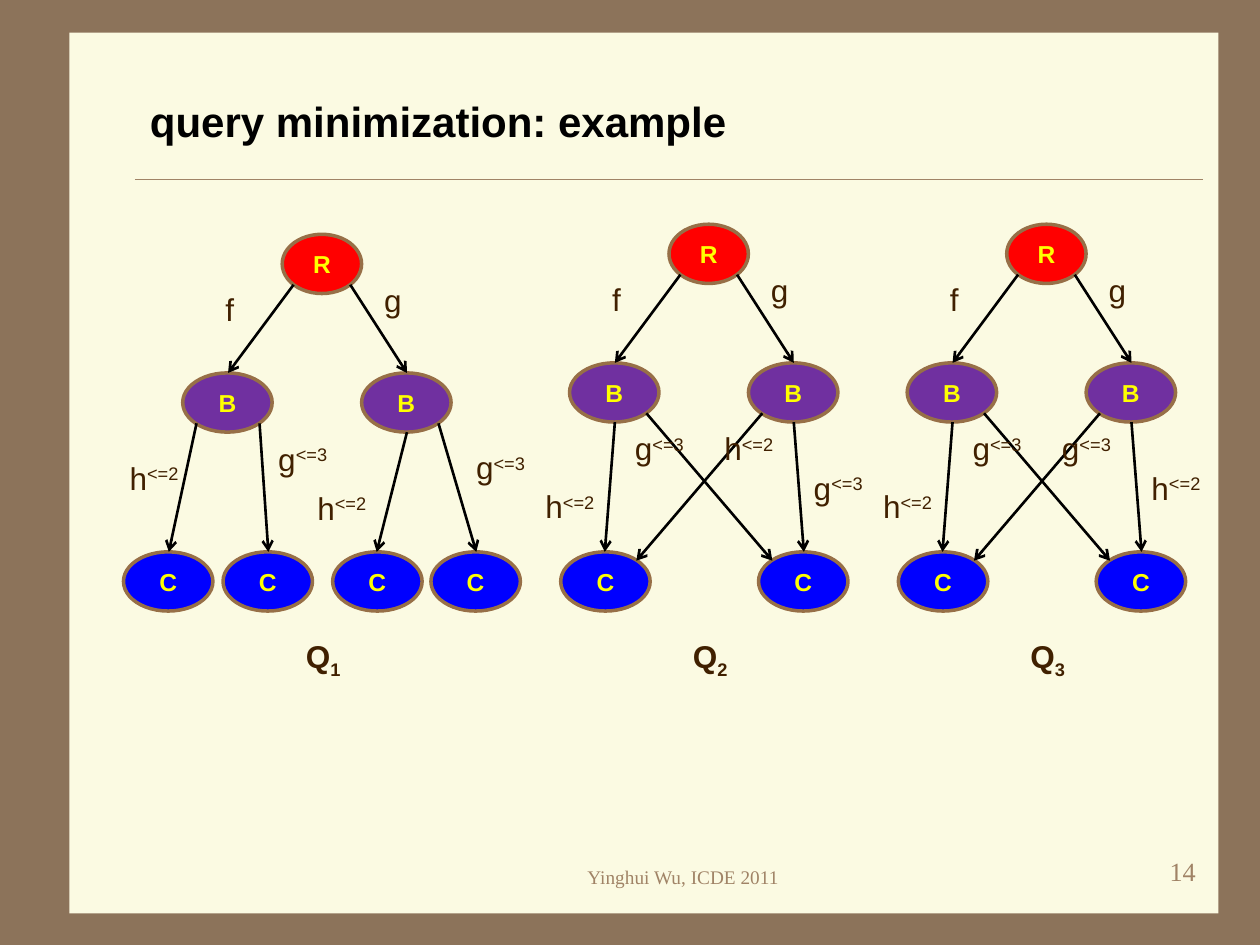
from lxml import etree
from pptx import Presentation
from pptx.dml.color import RGBColor
from pptx.enum.shapes import MSO_CONNECTOR, MSO_SHAPE
from pptx.enum.text import MSO_ANCHOR, MSO_AUTO_SIZE, PP_ALIGN
from pptx.oxml.ns import qn
from pptx.util import Inches, Pt

STRAIGHT = MSO_CONNECTOR.STRAIGHT
RECTANGLE, OVAL = MSO_SHAPE.RECTANGLE, MSO_SHAPE.OVAL
MIDDLE = MSO_ANCHOR.MIDDLE
GROW = MSO_AUTO_SIZE.SHAPE_TO_FIT_TEXT
LEFT, CENTER, RIGHT = PP_ALIGN.LEFT, PP_ALIGN.CENTER, PP_ALIGN.RIGHT
color = RGBColor.from_string


def write(shape, text, size, hex_color, bold=False, align=LEFT, font="Arial",
          script="", baseline=0):
    """Set one formatted line, with an optional raised or lowered suffix."""
    paragraph = shape.text_frame.paragraphs[0]
    paragraph.text = text
    paragraph.alignment = align
    if script:
        paragraph.add_run().text = script
    for run in paragraph.runs:
        run.font.name = font
        run.font.size = Pt(size)
        run.font.bold = bold
        run.font.color.rgb = color(hex_color)
    if script:
        paragraph.runs[1].font._element.set("baseline", str(baseline * 1000))


def add_line(start_x, start_y, end_x, end_y, hex_color, width, arrow=False):
    line = slide.shapes.add_connector(
        STRAIGHT, Inches(start_x), Inches(start_y), Inches(end_x), Inches(end_y))
    line.line.color.rgb = color(hex_color)
    line.line.width = Pt(width)
    if arrow:
        etree.SubElement(line.line._get_or_add_ln(), qn("a:tailEnd"), type="arrow")
    etree.SubElement(line._element.spPr, qn("a:effectLst"))


presentation = Presentation()
presentation.slide_width = Inches(10)
presentation.slide_height = Inches(7.5)
slide = presentation.slides.add_slide(presentation.slide_layouts[5])
slide.background.fill.solid()
slide.background.fill.fore_color.rgb = color("8C735A")

# Page, title and footer
page = slide.shapes.add_shape(
    RECTANGLE, Inches(0.55), Inches(0.26), Inches(9.12), Inches(6.99))
page.shadow.inherit = False
page.fill.solid()
page.fill.fore_color.rgb = color("FBFAE2")
page.line.fill.background()
# The page goes behind the title placeholder
slide.shapes._spTree.insert(2, page._element)
add_line(1.07, 1.42, 9.55, 1.42, "A08366", 0.25)

title = slide.shapes.title
title.left, title.top = Inches(1.08), Inches(0.5)
title.width, title.height = Inches(8.5), Inches(0.91)
title.text_frame.vertical_anchor = MIDDLE
title.text_frame.margin_left = title.text_frame.margin_right = Inches(0.11)
write(title, "query minimization: example", 24, "000000", bold=True)

for text, left, top, height, size in [("Yinghui Wu, ICDE 2011", 4.21, 6.82, 0.31, 11),
                                      ("14", 7.52, 6.74, 0.5, 15)]:
    footer = slide.shapes.add_textbox(
        Inches(left), Inches(top), Inches(2.08), Inches(height))
    footer.text_frame.word_wrap = True
    footer.text_frame.margin_left = footer.text_frame.margin_right = Inches(0.11)
    write(footer, text, size, "A08366", align=RIGHT, font="Times New Roman")

# Query graphs, in the coordinates of the first one
node_styles = {"R": ("FF0000", 0.63), "B": ("7030A0", 0.71), "C": ("0000FF", 0.71)}
upper_nodes = [("R", 2.24, 1.86), ("B", 1.45, 2.96), ("B", 2.87, 2.96)]
upper_edges = [(2.33, 2.26, 1.81, 2.96), (2.78, 2.26, 3.23, 2.96)]
upper_labels = [("f", 1.69, 2.25, 0.27), ("g", 2.95, 2.18, 0.34)]

tree_leaves = [0.98, 1.77, 2.64, 3.42]
tree_edges = [(1.56, 3.36, 1.34, 4.38), (2.06, 3.36, 2.13, 4.38),
              (3.23, 3.43, 2.99, 4.38), (3.48, 3.36, 3.78, 4.38)]
tree_labels = [(0.93, 3.59), (2.11, 3.44), (2.42, 3.83), (3.68, 3.51)]

crossed_leaves = [1.38, 2.95]
crossed_edges = [(1.81, 3.35, 1.73, 4.38), (2.06, 3.28, 3.06, 4.45),
                 (2.98, 3.28, 1.98, 4.45), (3.23, 3.35, 3.31, 4.38)]
crossed_labels = [(1.16, 3.82), (1.87, 3.36), (2.58, 3.36), (3.29, 3.67)]

bounds = {"g": "<=3", "h": "<=2"}
queries = [
    ("1", 0, 0, tree_leaves, tree_edges, tree_labels, "hghg"),
    ("2", 3.07, -0.08, crossed_leaves, crossed_edges, crossed_labels, "hghg"),
    ("3", 5.75, -0.08, crossed_leaves, crossed_edges, crossed_labels, "hggh"),
]

for number, shift, rise, leaves, leaf_edges, label_places, letters in queries:
    nodes = [(name, left, top + rise) for name, left, top in upper_nodes]
    nodes += [("C", left, 4.38) for left in leaves]
    for name, left, top in nodes:
        fill, width = node_styles[name]
        node = slide.shapes.add_shape(
            OVAL, Inches(left + shift), Inches(top), Inches(width), Inches(0.47))
        node.shadow.inherit = False
        node.fill.solid()
        node.fill.fore_color.rgb = color(fill)
        node.line.color.rgb = color("976F47")
        node.line.width = Pt(2)
        node.text_frame.vertical_anchor = MIDDLE
        write(node, name, 14, "FFFF00", bold=True, align=CENTER)

    edges = [(x1, y1 + rise, x2, y2 + rise) for x1, y1, x2, y2 in upper_edges]
    for x1, y1, x2, y2 in edges + leaf_edges:
        add_line(x1 + shift, y1, x2 + shift, y2, "000000", 1.5, arrow=True)

    labels = [(text, "", 0, left, top + rise, width, 0.4)
              for text, left, top, width in upper_labels]
    labels += [(letter, bounds[letter], 30, left, top, 0.59, 0.4)
               for letter, (left, top) in zip(letters, label_places)]
    # Slightly wider than its text, so that the subscript stays on the line
    labels.append(("Q", number, -25, 2.33, 5.01, 0.5, 0.44))
    for text, script, baseline, left, top, width, height in labels:
        label = slide.shapes.add_textbox(
            Inches(left + shift), Inches(top), Inches(width), Inches(height))
        label.text_frame.word_wrap = False
        label.text_frame.auto_size = GROW
        write(label, text, 18, "402000", bold=text == "Q",
              script=script, baseline=baseline)

presentation.save("out.pptx")
